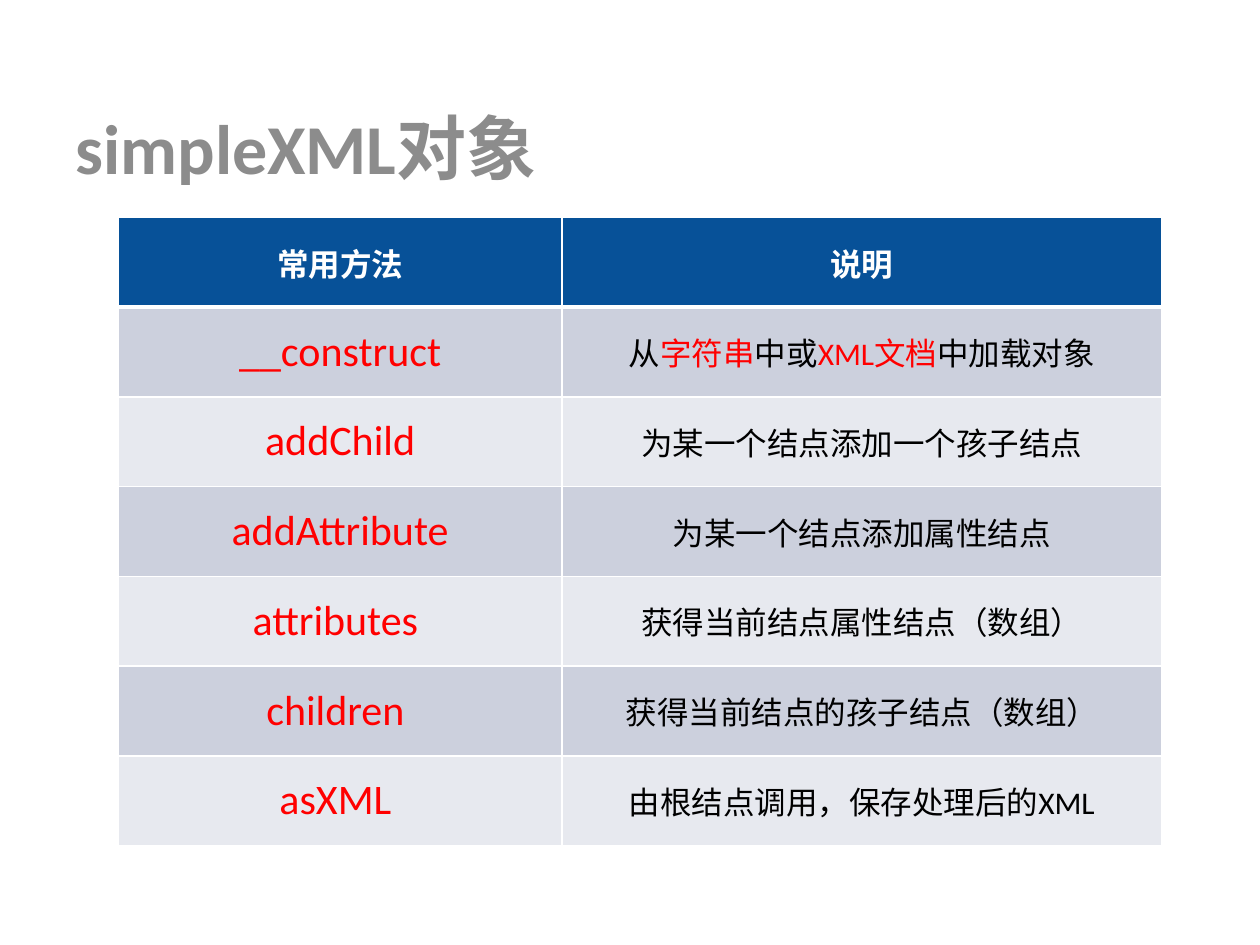
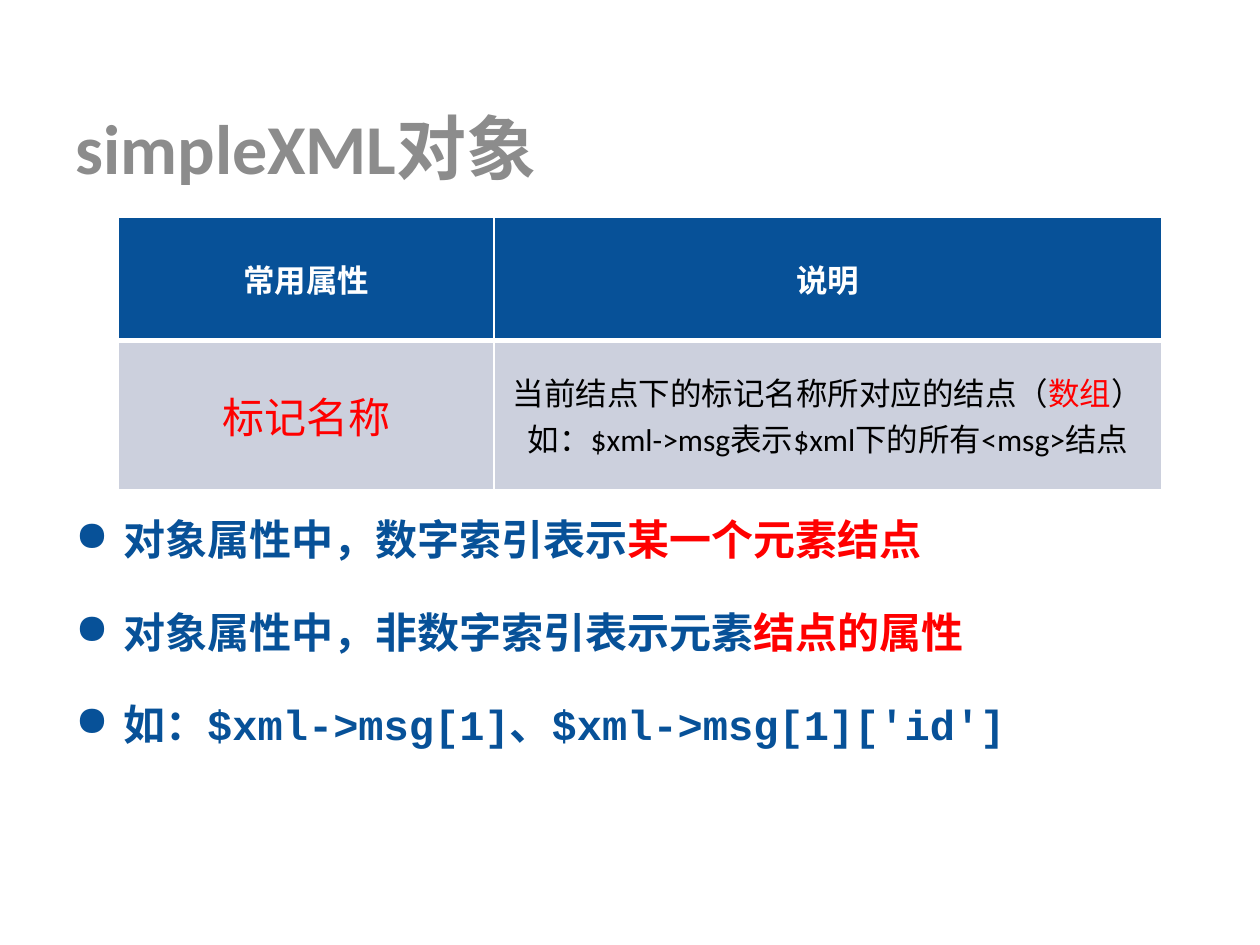
from dataclasses import dataclass

from lxml import etree
from pptx import Presentation
from pptx import util as u
from pptx.dml.color import RGBColor
from pptx.enum import text as t
from pptx.oxml import ns


@dataclass(frozen=True)
class Theme:
    blue: str = "075198"
    red: str = "FF0000"
    grey: str = "8C8C8C"
    black: str = "000000"
    white: str = "FFFFFF"
    bands: tuple = ("CCD0DD", "E7E9EF")
    font: str = "Calibri"
    mono: str = "Courier New"
    big: int = 40
    mid: int = 24
    small: int = 18


look = Theme()


def write(para, words, size, color, font=look.font, bold=False, align=t.PP_ALIGN.CENTER):
    """Fill a paragraph; words between asterisks turn red."""
    para.alignment = align
    for i, part in enumerate(words.split("*")):
        if not part:
            continue
        run = para.add_run()
        run.text = part
        run.font.size, run.font.name, run.font.bold = u.Pt(size), font, bold
        run.font.color.rgb = RGBColor.from_string(look.red if i % 2 else color)
        if font == look.mono:
            etree.SubElement(run.font._element, ns.qn("a:ea"), typeface=font)


def edge(cell, top, low):
    """Draw white borders around a cell; top and low are widths in points."""
    props = cell._tc.get_or_add_tcPr()
    for side, wide in (("L", 1), ("R", 1), ("T", top), ("B", low)):
        line = etree.SubElement(props, ns.qn(f"a:ln{side}"), w=str(u.Pt(wide)))
        fill = etree.SubElement(line, ns.qn("a:solidFill"))
        etree.SubElement(fill, ns.qn("a:srgbClr"), val=look.white)


deck = Presentation()
deck.slide_width, deck.slide_height = u.Inches(10), u.Inches(7.5)
wide, high = deck.slide_width, deck.slide_height
left, span = int(wide * 0.05), int(wide * 0.9)

# Each page: share of the first column, row height as share of the slide, rows
pages = [
    (0.425, 0.095, [
        ("常用方法", "说明"),
        ("__construct", "从*字符串*中或*XML文档*中加载对象"),
        ("addChild", "为某一个结点添加一个孩子结点"),
        ("addAttribute", "为某一个结点添加属性结点"),
        ("attributes ", "获得当前结点属性结点（数组）"),
        ("children ", "获得当前结点的孩子结点（数组）"),
        ("asXML ", "由根结点调用，保存处理后的XML"),
    ]),
    (0.36, 0.13, [
        ("常用属性", "说明"),
        ("标记名称", "当前结点下的标记名称所对应的结点（*数组*）\n"
                 "如：$xml->msg表示$xml下的所有<msg>结点"),
    ]),
]

for share, tall, rows in pages:
    slide = deck.slides.add_slide(deck.slide_layouts[5])
    title = slide.shapes.title
    title.left, title.top = left, int(high * 0.104)
    title.width, title.height = span, int(high * 0.103)
    title.text_frame.vertical_anchor = t.MSO_ANCHOR.MIDDLE
    write(title.text_frame.paragraphs[0], "simpleXML对象", look.big, look.grey,
          bold=True, align=t.PP_ALIGN.LEFT)

    size = int(wide * 0.828)
    grid = slide.shapes.add_table(
        len(rows), 2, int(wide * 0.094), int(high * 0.23),
        size, int(high * tall) * len(rows)).table
    grid.columns[0].width = int(size * share)
    grid.columns[1].width = size - int(size * share)
    for r, row in enumerate(rows):
        grid.rows[r].height = int(high * tall)
        for c, words in enumerate(row):
            cell = grid.cell(r, c)
            edge(cell, top=3 if r == 1 else 1, low=1 if r else 3)
            cell.fill.solid()
            shade = look.bands[(r - 1) % 2] if r else look.blue
            cell.fill.fore_color.rgb = RGBColor.from_string(shade)
            cell.vertical_anchor = t.MSO_ANCHOR.MIDDLE
            if r == 0:
                color = look.white
            else:
                color = look.black if c else look.red
            frame = cell.text_frame
            for i, line in enumerate(words.split("\n")):
                para = frame.add_paragraph() if i else frame.paragraphs[0]
                write(para, line, look.mid if r and c == 0 else look.small,
                      color, bold=r == 0)

# Notes below the table on the last slide
notes = [
    "对象属性中，数字索引表示*某一个元素结点*",
    "对象属性中，非数字索引表示元素*结点的属性*",
    "如：$xml->msg[1]、$xml->msg[1]['id']",
]
body = slide.shapes.add_textbox(left, int(high * 0.537), span, int(high * 0.368))
frame = body.text_frame
frame.word_wrap = True
for i, line in enumerate(notes):
    para = frame.add_paragraph() if i else frame.paragraphs[0]
    write(para, line, look.mid, look.blue, font=look.mono, bold=True,
          align=t.PP_ALIGN.LEFT)
    para.space_before = para.space_after = u.Pt(12)
    props = para._p.get_or_add_pPr()
    props.set("marL", str(u.Inches(0.38)))
    props.set("indent", str(-u.Inches(0.38)))
    tint = etree.SubElement(props, ns.qn("a:buClr"))
    etree.SubElement(tint, ns.qn("a:srgbClr"), val=look.blue)
    etree.SubElement(props, ns.qn("a:buChar"), char="●")

deck.save("out.pptx")
